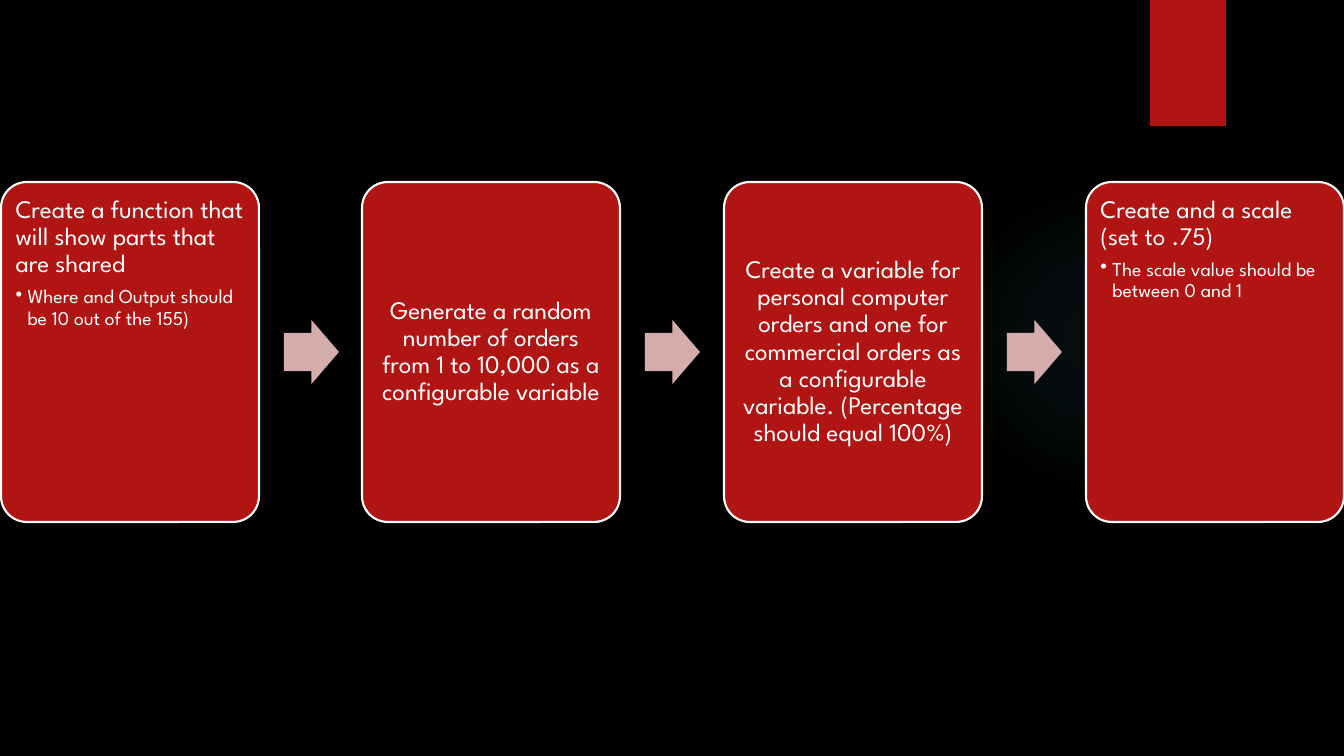
from lxml import etree
from pptx import Presentation
from pptx.dml.color import RGBColor
from pptx.enum.shapes import MSO_SHAPE
from pptx.enum.text import MSO_ANCHOR, PP_ALIGN
from pptx.oxml import parse_xml
from pptx.oxml.ns import nsdecls, qn
from pptx.util import Emu, Pt

ELLIPSE = MSO_SHAPE.OVAL
RECTANGLE = MSO_SHAPE.RECTANGLE
ROUNDED = MSO_SHAPE.ROUNDED_RECTANGLE
ARROW = MSO_SHAPE.RIGHT_ARROW
TOP, MIDDLE = MSO_ANCHOR.TOP, MSO_ANCHOR.MIDDLE
LEFT, CENTER = PP_ALIGN.LEFT, PP_ALIGN.CENTER

EMU_PER_PX = 914400 / 100.8
FONT = "League Spartan"
COLORS = {
    "background": "000000",
    "card": "B01513",
    "arrow": "D4ACAB",
    "light": "FFFFFF",
    "glow": "50B9C1",
}
BLANK_LAYOUT = 6

STEPS = [
    ("Create a function that will show parts that are shared",
     "Where and Output should be 10 out of the 155)"),
    ("Generate a random number of orders from 1 to 10,000 as a configurable variable", None),
    ("Create a variable for personal computer orders and one for commercial orders "
     "as a configurable variable. (Percentage should equal 100%)", None),
    ("Create and a scale (set to .75)",
     "The scale value should be between 0 and 1"),
]
CARD_LEFT, CARD_TOP, CARD_WIDTH, CARD_HEIGHT = 1, 182, 258, 340
CARD_SPAN = 1085
ARROW_OFFSET, ARROW_TOP, ARROW_WIDTH, ARROW_HEIGHT = 283, 320, 55, 64


def px(length):
    return Emu(round(length * EMU_PER_PX))


def rgb(name):
    return RGBColor.from_string(COLORS[name])


class SlideBuilder:
    def __init__(self, slide):
        self.slide = slide
        background = slide.background.fill
        background.solid()
        background.fore_color.rgb = rgb("background")

    def shape(self, kind, left, top, width, height, color, adjustments=()):
        shape = self.slide.shapes.add_shape(kind, px(left), px(top), px(width), px(height))
        shape.shadow.inherit = False
        shape.fill.solid()
        shape.fill.fore_color.rgb = rgb(color)
        shape.line.fill.background()
        for index, value in enumerate(adjustments):
            shape.adjustments[index] = value
        return shape

    def glow(self, left, top, size, stops):
        """Draw a circle with a radial fade; stops are (position, opacity) in percent."""
        shape = self.shape(ELLIPSE, left, top, size, size, "glow")
        stop_xml = "".join(
            f'<a:gs pos="{position * 1000}"><a:srgbClr val="{COLORS["glow"]}">'
            f'<a:alpha val="{opacity * 1000}"/></a:srgbClr></a:gs>'
            for position, opacity in stops)
        gradient = parse_xml(
            f'<a:gradFill {nsdecls("a")} rotWithShape="1"><a:gsLst>{stop_xml}</a:gsLst>'
            '<a:path path="circle"><a:fillToRect l="50000" t="50000" r="50000" b="50000"/>'
            '</a:path></a:gradFill>')
        properties = shape.element.spPr
        properties.replace(properties.find(qn("a:solidFill")), gradient)

    def text(self, paragraph, text, size, space_after):
        paragraph.line_spacing = 0.9
        paragraph.space_after = Pt(space_after)
        run = paragraph.add_run()
        run.text = text
        run.font.size = Pt(size)
        run.font.name = FONT
        run.font.color.rgb = rgb("light")

    def bullet(self, paragraph, indent):
        paragraph.level = 1
        properties = paragraph._p.get_or_add_pPr()
        properties.set("marL", str(px(indent)))
        properties.set("indent", str(-px(indent)))
        etree.SubElement(properties, qn("a:buChar")).set("char", "•")

    def card(self, left, heading, detail):
        shape = self.shape(ROUNDED, left, CARD_TOP, CARD_WIDTH, CARD_HEIGHT, "card", [0.1])
        shape.line.color.rgb = rgb("light")
        shape.line.width = Pt(1.5)
        frame = shape.text_frame
        frame.word_wrap = True
        frame.margin_left = frame.margin_right = px(7)
        frame.margin_top = frame.margin_bottom = px(7)
        frame.vertical_anchor = TOP if detail else MIDDLE
        paragraph = frame.paragraphs[0]
        paragraph.alignment = LEFT if detail else CENTER
        self.text(paragraph, heading, 18, 6.3)
        if detail:
            paragraph = frame.add_paragraph()
            paragraph.alignment = LEFT
            self.text(paragraph, detail, 14, 2.1)
            self.bullet(paragraph, 12)

    def arrow(self, left):
        self.shape(ARROW, left, ARROW_TOP, ARROW_WIDTH, ARROW_HEIGHT, "arrow", [0.6, 0.5])


def main():
    presentation = Presentation()
    presentation.slide_width, presentation.slide_height = px(1344), px(756)
    slide = presentation.slides.add_slide(presentation.slide_layouts[BLANK_LAYOUT])
    builder = SlideBuilder(slide)
    builder.glow(949, 184, 310, [(0, 7), (36, 6), (69, 0)])
    builder.shape(RECTANGLE, 1150, 0, 76, 126, "card")
    last = len(STEPS) - 1
    for index, (heading, detail) in enumerate(STEPS):
        left = CARD_LEFT + index * CARD_SPAN // last
        builder.card(left, heading, detail)
        if index < last:
            builder.arrow(left + ARROW_OFFSET)
    presentation.save("out.pptx")


if __name__ == "__main__":
    main()
